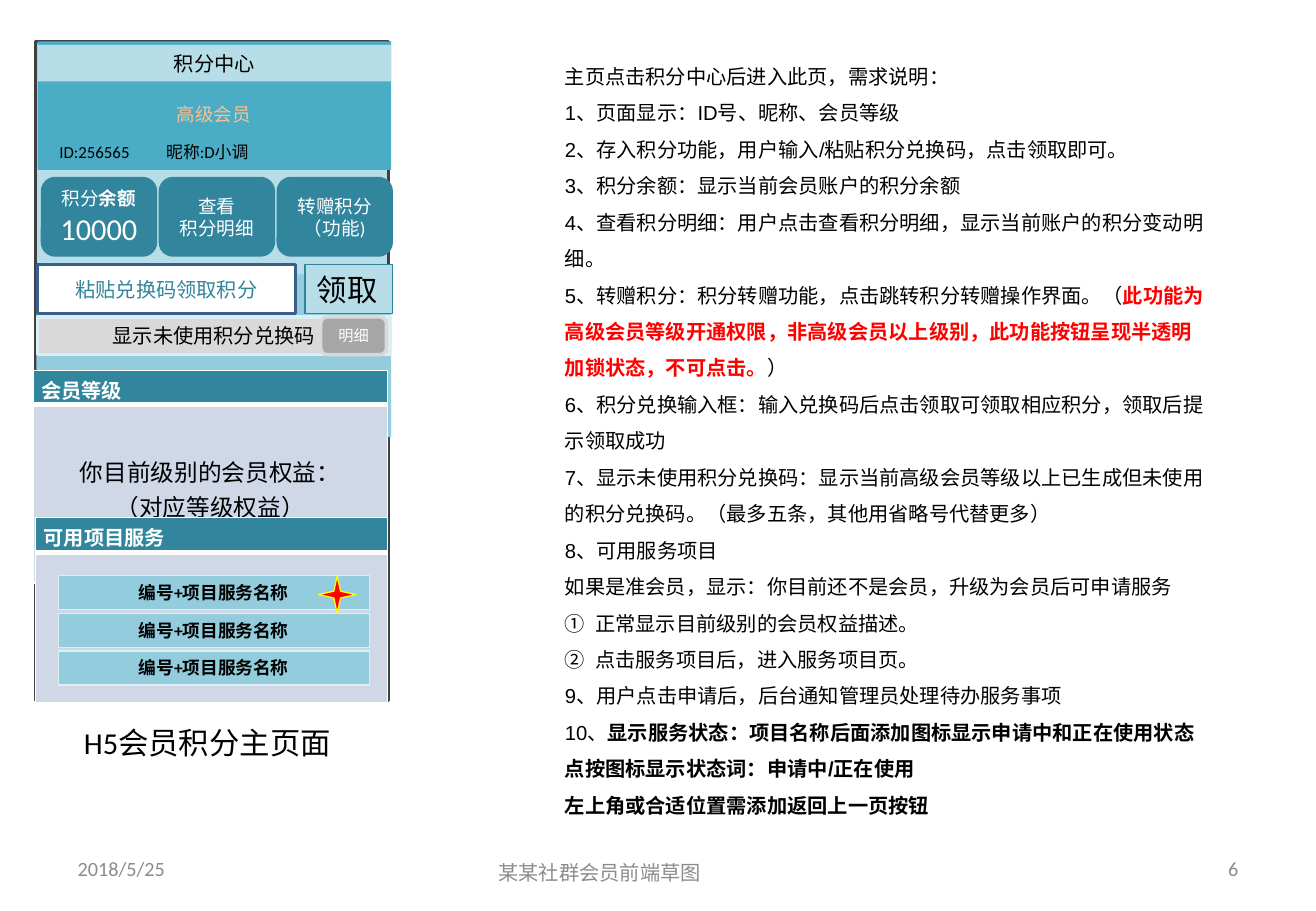
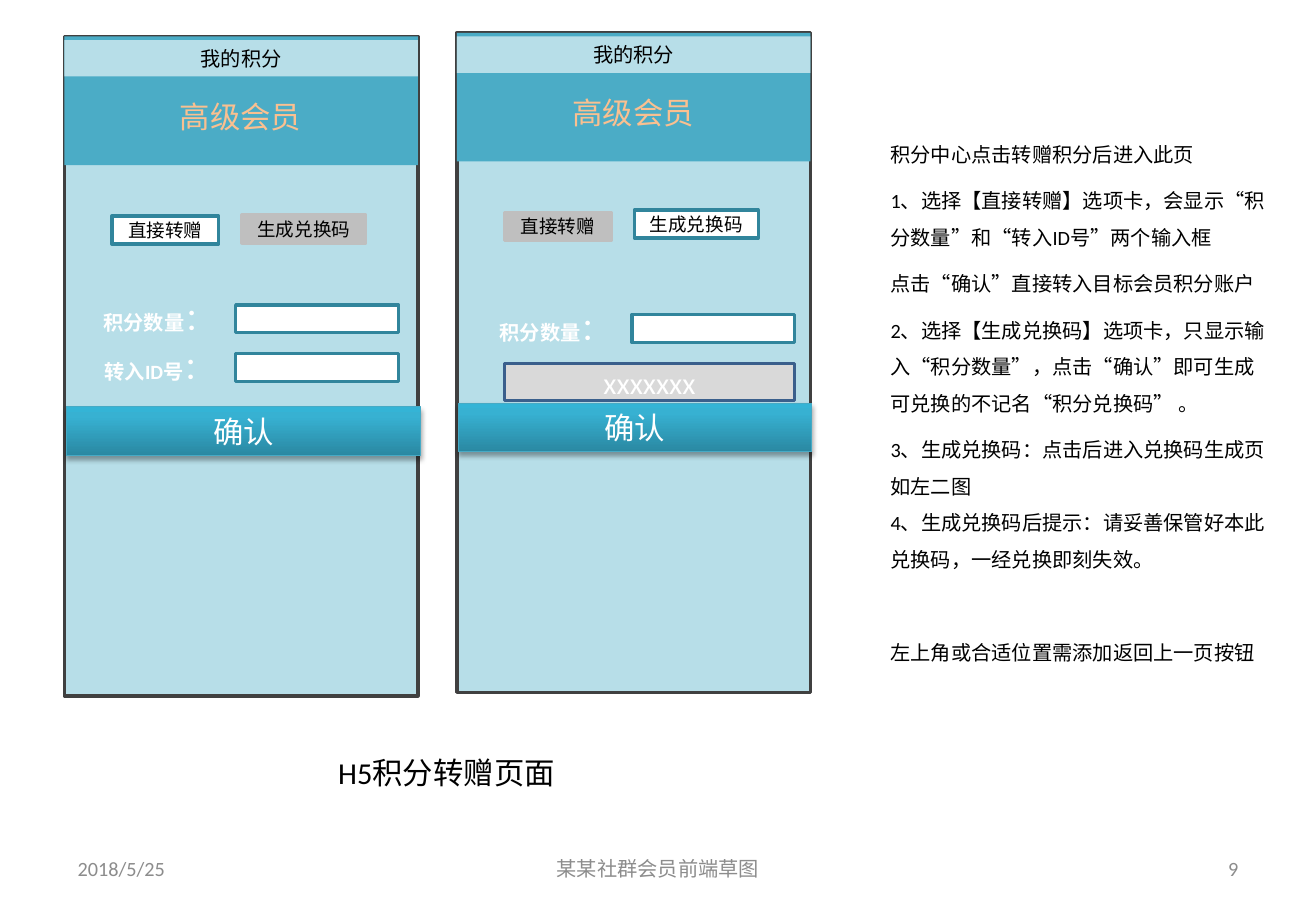
from copy import deepcopy

from pptx import Presentation
from pptx.dml.color import RGBColor
from pptx.enum.shapes import MSO_SHAPE
from pptx.enum.text import MSO_ANCHOR, MSO_AUTO_SIZE, PP_ALIGN
from pptx.oxml import parse_xml
from pptx.oxml.ns import nsdecls, qn
from pptx.util import Inches, Pt

RECT, ROUNDED, STAR = MSO_SHAPE.RECTANGLE, MSO_SHAPE.ROUNDED_RECTANGLE, MSO_SHAPE.STAR_4_POINT
LEFT, CENTER, RIGHT = PP_ALIGN.LEFT, PP_ALIGN.CENTER, PP_ALIGN.RIGHT
TOP, MIDDLE = MSO_ANCHOR.TOP, MSO_ANCHOR.MIDDLE

COLORS = {
    "black": "000000", "white": "FFFFFF", "red": "FF0000", "yellow": "FFFF00",
    "pale": "B7DEE8", "aqua": "4BACC6", "sky": "93CDDD", "ice": "DBEEF4",
    "teal": "31859C", "navy": "3A5F8C", "frame": "404040", "peach": "FAC090",
    "panel": "D0D8E8", "light_gray": "D9D9D9", "tab_gray": "BFBFBF",
    "gray": "A6A6A6", "footer": "8C8C8C", "button_line": "46AAC5",
    "button_dark": "2A88A2", "button_mid": "37B1D2", "button_light": "34B4D6",
}
RGB = {name: RGBColor.from_string(value) for name, value in COLORS.items()}


def write(frame, paragraphs, size=12, color="black", font="Calibri", bold=False,
          align=LEFT, anchor=TOP, spacing=None, gaps=(), numbered=()):
    frame.word_wrap = True
    frame.vertical_anchor = anchor
    for index, content in enumerate(paragraphs):
        paragraph = frame.add_paragraph() if index else frame.paragraphs[0]
        if index in numbered:
            props = paragraph._p.get_or_add_pPr()
            props.set("marL", str(Inches(0.25)))
            props.set("indent", str(-Inches(0.25)))
            props.append(parse_xml(f'<a:buAutoNum {nsdecls("a")} type="circleNumDbPlain"/>'))
        paragraph.alignment = align
        if spacing:
            paragraph.line_spacing = spacing
        if index and gaps:
            paragraph.space_before = Pt(gaps[index])
        for text, changes in [(content, {})] if isinstance(content, str) else content:
            run = paragraph.add_run()
            run.text = text
            style = {"name": font, "size": size, "bold": bold, "color": color, **changes}
            run.font.color.rgb = RGB[style.pop("color")]
            style["size"] = Pt(style["size"])
            for name, value in style.items():
                setattr(run.font, name, value)


def add_box(slide, at, paragraphs=(), fill=None, line=None, weight=2, outline=RECT, **style):
    place = [Inches(value) for value in at]
    if fill is None:
        box = slide.shapes.add_textbox(*place)
    else:
        box = slide.shapes.add_shape(outline, *place)
        box.shadow.inherit = False
        box.fill.solid()
        box.fill.fore_color.rgb = RGB[fill]
        if line:
            box.line.color.rgb = RGB[line]
            box.line.width = Pt(weight)
        else:
            box.line.fill.background()
    write(box.text_frame, paragraphs, **style)
    return box


prs = Presentation()
prs.slide_width, prs.slide_height = Inches(10.83), Inches(7.5)
center_page, transfer_page = [prs.slides.add_slide(prs.slide_layouts[5]) for _ in range(2)]

pages = [
    (center_page, "H5会员积分主页面", (0.59, 5.91, 2.57, 0.4), LEFT, "6", (3.22, 6.98)),
    (transfer_page, "H5积分转赠页面", (2.61, 6.16, 2.13, 0.4), CENTER, "9", (3.7, 6.95)),
]
for page, caption, at, align, number, footer_at in pages:
    title = page.shapes.title
    title.left, title.top, title.width, title.height = [Inches(value) for value in at]
    write(title.text_frame, [caption], size=18, align=align)
    title.text_frame.auto_size = MSO_AUTO_SIZE.NONE
    for text, (left, top), width, side in [
        ("2018/5/25", (0.54, 6.95), 2.53, LEFT),
        (number, (7.76, 6.95), 2.53, RIGHT),
        ("某某社群会员前端草图", footer_at, 3.43, CENTER),
    ]:
        add_box(page, (left, top, width, 0.4), [text], color="footer", align=side, anchor=MIDDLE)

phones = [
    (center_page, 0.29, 0.31, 0.34, "积分中心", 11),
    (transfer_page, 0.53, 0.53, 0.3, "我的积分", 18),
    (transfer_page, 3.76, 3.76, 0.27, "我的积分", 18),
]
for page, frame_left, left, top, heading, level_size in phones:
    add_box(page, (frame_left, top, 2.91, 5.43), fill="pale", line="frame")
    add_box(page, (left, top, 2.91, 1.06), fill="aqua")
    add_box(page, (left, top + 0.03, 2.91, 0.3), [heading], fill="pale", align=CENTER)
    add_box(page, (left + 0.07, top + 0.46, 2.76, 0.4), ["高级会员"],
            size=level_size, font="Lato", color="peach", align=CENTER)

add_box(center_page, (4.55, 0.38, 5.51, 6.5), [
    "主页点击积分中心后进入此页，需求说明：",
    "1、页面显示：ID号、昵称、会员等级",
    "2、存入积分功能，用户输入/粘贴积分兑换码，点击领取即可。",
    "3、积分余额：显示当前会员账户的积分余额",
    "4、查看积分明细：用户点击查看积分明细，显示当前账户的积分变动明细。",
    [("5、转赠积分：积分转赠功能，点击跳转积分转赠操作界面。（", {}),
     ("此功能为高级会员等级开通权限，非高级会员以上级别，此功能按钮呈现半透明加锁状态，不可点击。",
      {"color": "red", "bold": True}),
     ("）", {})],
    "6、积分兑换输入框：输入兑换码后点击领取可领取相应积分，领取后提示领取成功",
    "7、显示未使用积分兑换码：显示当前高级会员等级以上已生成但未使用的积分兑换码。（最多五条，其他用省略号代替更多）",
    "8、可用服务项目",
    "如果是准会员，显示：你目前还不是会员，升级为会员后可申请服务",
    "正常显示目前级别的会员权益描述。",
    "点击服务项目后，进入服务项目页。",
    "9、用户点击申请后，后台通知管理员处理待办服务事项",
    [("10、", {}), ("显示服务状态：项目名称后面添加图标显示申请中和正在使用状态", {"bold": True})],
    [("点按图标显示状态词：申请中/正在使用", {"bold": True})],
    [("左上角或合适位置需添加返回上一页按钮", {"bold": True})],
], font="Arial", spacing=1.5, numbered=(10, 11))

add_box(center_page, (0.3, 2.26, 2.92, 1.34), fill="sky")
sections = [
    ((0.27, 3.05, 2.92), (0.28, 1.47), "会员等级", ["你目前级别的会员权益：", "（对应等级权益）"]),
    ((0.29, 4.26, 2.9), (0.29, 1.24), "可用项目服务", []),
]
for (left, top, width), heights, heading, benefits in sections:
    section = center_page.shapes.add_table(
        2, 1, Inches(left), Inches(top), Inches(width), Inches(sum(heights))).table
    for row, height in zip(section.rows, heights):
        row.height = Inches(height)
    header, body = section.cell(0, 0), section.cell(1, 0)
    for cell, fill, borders in [
        (header, "teal", {"lnL": 1, "lnR": 1, "lnT": 1, "lnB": 3}),
        (body, "panel", {"lnL": 1, "lnR": 1, "lnT": 3, "lnB": 1}),
    ]:
        cell.fill.solid()
        cell.fill.fore_color.rgb = RGB[fill]
        cell.margin_left = cell.margin_right = Inches(0.07)
        cell.margin_top = cell.margin_bottom = Inches(0.04)
        for position, (tag, weight) in enumerate(borders.items()):
            cell._tc.get_or_add_tcPr().insert(position, parse_xml(
                f'<a:{tag} {nsdecls("a")} w="{Pt(weight)}"><a:solidFill>'
                f'<a:srgbClr val="{COLORS["white"]}"/></a:solidFill></a:{tag}>'))
    write(header.text_frame, [heading], font="Arial", color="white", bold=True)
    header.vertical_anchor = MIDDLE
    body.margin_top = Inches(0.41)
    write(body.text_frame, benefits, size=14, align=CENTER)

add_box(center_page, (0.39, 1.12, 0.86, 0.27), ["ID:256565"], size=10)
add_box(center_page, (1.27, 1.12, 1.13, 0.27), ["昵称:D小调"], size=10)
add_box(center_page, (0.31, 2.18, 2.12, 0.4), ["粘贴兑换码领取积分"],
        fill="white", line="navy", color="teal", align=CENTER, anchor=MIDDLE)
add_box(center_page, (2.51, 2.18, 0.72, 0.4), ["领取"],
        fill="pale", line="teal", weight=0.75, size=18)
point_actions = [
    [[("积分", {}), ("余额", {"bold": True})], [("10000", {"size": 18})]],
    ["查看", "积分明细"],
    ["转赠积分", "（功能)"],
]
for index, label in enumerate(point_actions):
    add_box(center_page, (0.35 + 0.97 * index, 1.47, 0.93, 0.63), label, fill="teal", line="teal",
            outline=ROUNDED, size=11, color="white", align=CENTER, anchor=MIDDLE)
add_box(center_page, (0.31, 2.61, 2.9, 0.31), ["显示未使用积分兑换码"],
        fill="light_gray", line="ice", align=CENTER, anchor=MIDDLE)
add_box(center_page, (2.64, 2.61, 0.54, 0.31), ["明细"], fill="gray", line="light_gray",
        outline=ROUNDED, size=9, color="white", align=CENTER, anchor=MIDDLE)
for index in range(3):
    add_box(center_page, (0.48, 4.74 + 0.31 * index, 2.56, 0.28), ["编号+项目服务名称"],
            fill="sky", line="ice", weight=0.75, size=10.5, bold=True, align=CENTER)
add_box(center_page, (2.62, 4.74, 0.31, 0.31), fill="red", line="yellow", weight=0.75, outline=STAR)

tabs = [
    ("直接转赠", (0.92, 1.78, 0.88, 0.23), True),
    ("生成兑换码", (1.99, 1.77, 1.02, 0.23), False),
    ("直接转赠", (4.15, 1.75, 0.88, 0.23), False),
    ("生成兑换码", (5.22, 1.73, 1.02, 0.23), True),
]
for label, at, active in tabs:
    add_box(transfer_page, at, [label], fill="white" if active else "tab_gray",
            line="teal" if active else "tab_gray", size=11, align=CENTER, anchor=MIDDLE)

fields = [("积分数量", 0.68, 2.51), ("转入ID号", 0.68, 2.91), ("积分数量", 3.94, 2.59)]
for label, left, top in fields:
    add_box(transfer_page, (left, top, 1.26, 0.23),
            [[(label, {"bold": True}), ("：", {"size": 18})]],
            color="white", align=CENTER, anchor=MIDDLE)
    add_box(transfer_page, (left + 1.26, top, 1.34, 0.23), fill="white", line="teal")

for left, top in [(0.55, 3.35), (3.77, 3.32)]:
    confirm = add_box(transfer_page, (left, top, 2.91, 0.4), ["确认"], fill="aqua",
                      line="button_line", weight=0.75, size=18, color="white", align=CENTER)
    confirm.fill.gradient()
    confirm.fill.gradient_angle = 90
    properties = confirm._element.spPr
    stops = properties.find(qn("a:gradFill")).find(qn("a:gsLst"))
    stops.append(deepcopy(stops[-1]))
    shades = [(0, "button_dark"), (0.8, "button_mid"), (1, "button_light")]
    for stop, (position, shade) in zip(confirm.fill.gradient_stops, shades):
        stop.position = position
        stop.color.rgb = RGB[shade]
    properties.find(qn("a:effectLst")).append(parse_xml(
        f'<a:outerShdw {nsdecls("a")} blurRad="{Pt(3.1)}" dist="{Pt(1.8)}" dir="5400000" '
        f'rotWithShape="0"><a:srgbClr val="{COLORS["black"]}"><a:alpha val="35000"/>'
        '</a:srgbClr></a:outerShdw>'))

add_box(transfer_page, (4.15, 2.99, 2.39, 0.31), ["xxxxxxx"], fill="light_gray", line="navy",
        size=18, color="white", align=CENTER, anchor=MIDDLE)
add_box(transfer_page, (7.23, 1.02, 3.31, 4.9), [
    "积分中心点击转赠积分后进入此页",
    "1、选择【直接转赠】选项卡，会显示“积分数量”和“转入ID号”两个输入框",
    "点击“确认”直接转入目标会员积分账户",
    "2、选择【生成兑换码】选项卡，只显示输入“积分数量”，点击“确认”即可生成可兑换的不记名“积分兑换码” 。",
    "3、生成兑换码：点击后进入兑换码生成页如左二图",
    "4、生成兑换码后提示：请妥善保管好本此兑换码，一经兑换即刻失效。",
    "左上角或合适位置需添加返回上一页按钮",
], spacing=1.5, gaps=(0, 6, 6, 6, 6, 0, 34))

prs.save("out.pptx")
